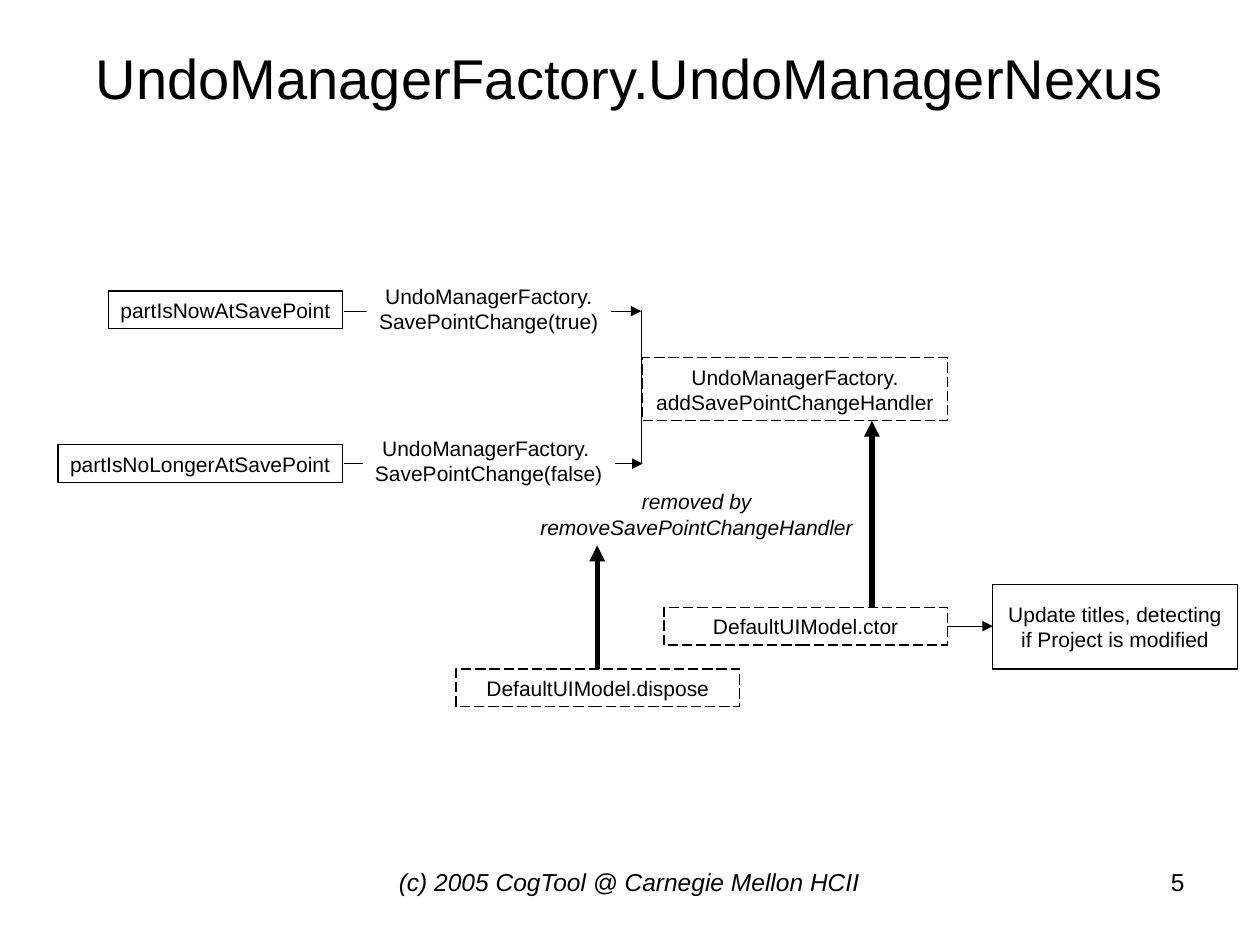
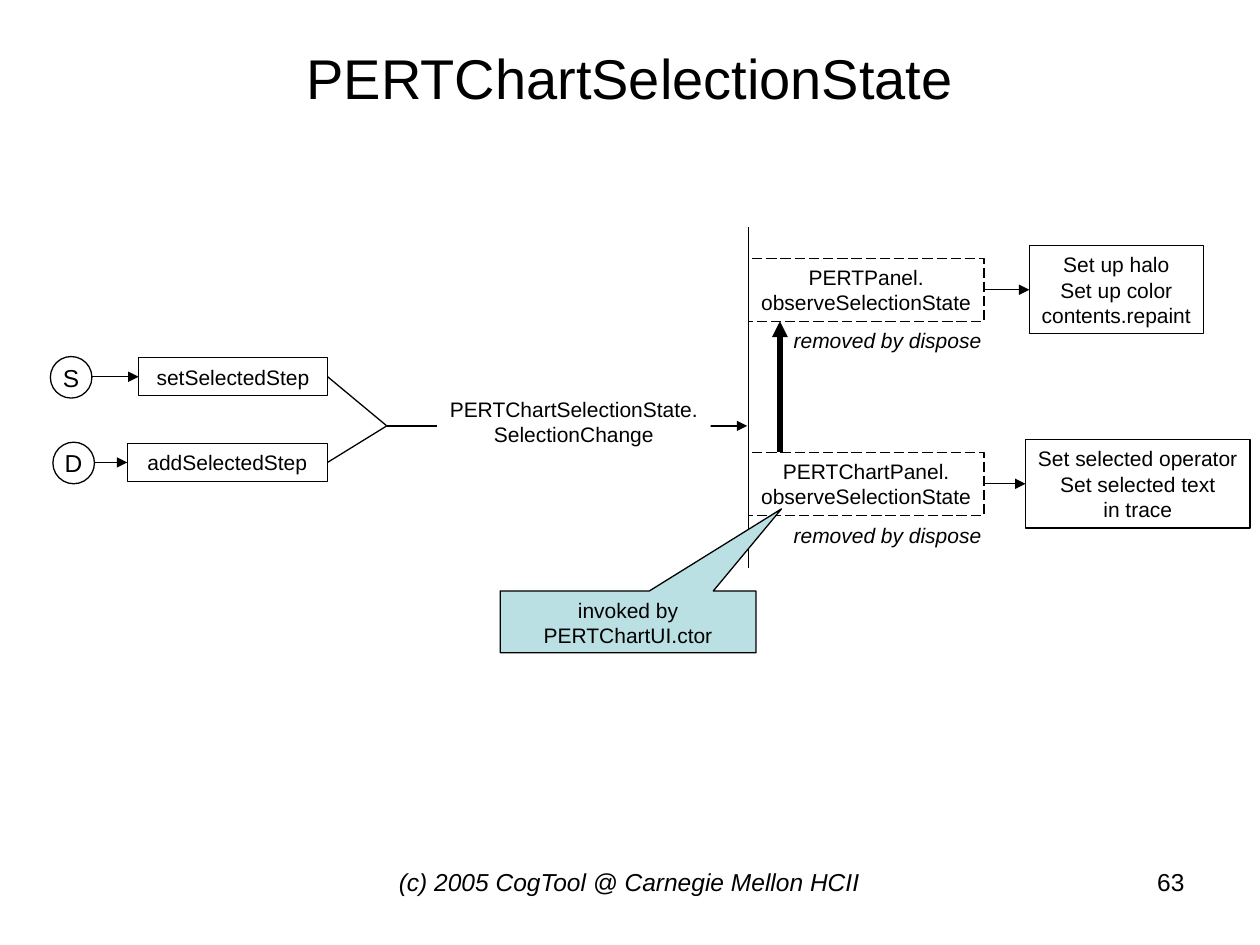
from dataclasses import dataclass

from lxml import etree
from pptx import Presentation
from pptx.dml.color import RGBColor
from pptx.enum.dml import MSO_LINE
from pptx.enum.shapes import MSO_CONNECTOR, MSO_SHAPE
from pptx.enum.text import MSO_ANCHOR, MSO_AUTO_SIZE, PP_ALIGN
from pptx.oxml.ns import qn
from pptx.util import Inches, Pt

RECTANGLE = MSO_SHAPE.RECTANGLE
OVAL = MSO_SHAPE.OVAL
CALLOUT_SHAPE = MSO_SHAPE.RECTANGULAR_CALLOUT
STRAIGHT = MSO_CONNECTOR.STRAIGHT
LONG_DASH = MSO_LINE.LONG_DASH
TOP, MIDDLE = MSO_ANCHOR.TOP, MSO_ANCHOR.MIDDLE
CENTER, RIGHT = PP_ALIGN.CENTER, PP_ALIGN.RIGHT
NO_AUTOSIZE = MSO_AUTO_SIZE.NONE

FONT = "Arial"
BLACK, WHITE, PALE_TEAL = "000000", "FFFFFF", "BBE0E3"
THIN, THICK = 0.75, 3
TITLE_ONLY_LAYOUT = 5
FOOTER = "(c) 2005 CogTool @ Carnegie Mellon HCII"


@dataclass(frozen=True)
class Style:
    geometry: int = RECTANGLE
    fill: str | None = None
    outlined: bool = True
    dashed: bool = False
    italic: bool = False
    size: int = 12
    anchor: int = MIDDLE
    align: int = CENTER


METHOD = Style()
HANDLER = Style(dashed=True)
EVENT = Style(fill=WHITE, outlined=False, anchor=TOP)
REMARK = Style(outlined=False, italic=True)
MARKER = Style(geometry=OVAL, size=14)
CALLOUT = Style(geometry=CALLOUT_SHAPE, fill=PALE_TEAL, anchor=TOP)
FOOTER_TEXT = Style(outlined=False, italic=True, size=14, anchor=TOP)
PAGE_NUMBER = Style(outlined=False, size=14, anchor=TOP, align=RIGHT)


@dataclass(frozen=True)
class Box:
    text: str
    left: float
    top: float
    width: float
    height: float
    style: Style = METHOD
    wrap: bool = False
    pointer: tuple[float, float] | None = None


@dataclass(frozen=True)
class Link:
    start: tuple[float, float]
    end: tuple[float, float]
    weight: float = THIN
    arrow: bool = True


@dataclass(frozen=True)
class Diagram:
    title: str
    number: int
    items: list[Box | Link]


def color(value: str) -> RGBColor:
    return RGBColor.from_string(value)


def write_text(shape, text: str, style: Style, wrap: bool) -> None:
    frame = shape.text_frame
    frame.text = text
    frame.word_wrap = wrap
    frame.auto_size = NO_AUTOSIZE
    frame.vertical_anchor = style.anchor
    frame.margin_left = frame.margin_right = Inches(0.1)
    frame.margin_top = frame.margin_bottom = Inches(0.05)
    for paragraph in frame.paragraphs:
        paragraph.alignment = style.align
        font = paragraph.font
        font.name, font.size, font.italic = FONT, Pt(style.size), style.italic
        font.color.rgb = color(BLACK)


def draw_box(slide, box: Box) -> None:
    style = box.style
    place = [Inches(v) for v in (box.left, box.top, box.width, box.height)]
    if style.fill or style.outlined:
        shape = slide.shapes.add_shape(style.geometry, *place)
        shape.shadow.inherit = False
    else:
        shape = slide.shapes.add_textbox(*place)
    if style.fill:
        shape.fill.solid()
        shape.fill.fore_color.rgb = color(style.fill)
    else:
        shape.fill.background()
    if style.outlined:
        shape.line.color.rgb = color(BLACK)
        shape.line.width = Pt(THIN)
        if style.dashed:
            shape.line.dash_style = LONG_DASH
    else:
        shape.line.fill.background()
    if box.pointer:
        shape.adjustments[0], shape.adjustments[1] = box.pointer
    write_text(shape, box.text, style, box.wrap)


def draw_link(slide, link: Link) -> None:
    ends = [Inches(v) for v in link.start + link.end]
    connector = slide.shapes.add_connector(STRAIGHT, *ends)
    connector.line.color.rgb = color(BLACK)
    connector.line.width = Pt(link.weight)
    properties = connector._element.spPr
    if link.arrow:
        outline = properties.find(qn("a:ln"))
        etree.SubElement(outline, qn("a:tailEnd"), type="triangle")
    etree.SubElement(properties, qn("a:effectLst"))


def add_diagram(presentation, diagram: Diagram) -> None:
    slide = presentation.slides.add_slide(presentation.slide_layouts[TITLE_ONLY_LAYOUT])
    title = slide.shapes.title
    title.left, title.top = Inches(0.5), Inches(0.3)
    title.width, title.height = Inches(9), Inches(0.62)
    write_text(title, diagram.title, Style(size=32), True)
    footers = [
        Box(FOOTER, 2.83, 6.83, 4.33, 0.52, FOOTER_TEXT, wrap=True),
        Box(str(diagram.number), 7.17, 6.83, 2.33, 0.52, PAGE_NUMBER, wrap=True),
    ]
    for item in diagram.items + footers:
        if isinstance(item, Box):
            draw_box(slide, item)
        else:
            draw_link(slide, item)


def step_row(letter: str, method: str, marker_left: float, left: float, middle: float) -> list[Box | Link]:
    right = 2.6
    return [
        Box(method, left, middle - 0.15, right - left, 0.3),
        Box(letter, marker_left, middle - 0.16, 0.33, 0.33, MARKER),
        Link((marker_left + 0.33, middle), (left, middle)),
        Link((right, middle), (3.07, 3.38), arrow=False),
    ]


def panel_row(panel: str, effect: str, left: float, width: float, middle: float, remark_top: float) -> list[Box | Link]:
    return [
        Box(f"{panel}.\nobserveSelectionState", 5.94, middle - 0.25, 1.87, 0.5, HANDLER),
        Box(effect, left, middle - 0.35, width, 0.7),
        Link((7.81, middle), (left, middle)),
        Box("removed by dispose", 6.13, remark_top, 1.83, 0.3, REMARK),
    ]


NEXUS = Diagram("UndoManagerFactory.UndoManagerNexus", 5, [
    Box("Update titles, detecting if Project is modified", 7.88, 4.64, 1.94, 0.67, wrap=True),
    Link((7.52, 4.97), (7.88, 4.97)),
    Box("partIsNowAtSavePoint", 0.86, 2.31, 1.86, 0.3),
    Box("partIsNoLongerAtSavePoint", 0.46, 3.53, 2.26, 0.3),
    Link((2.73, 3.68), (5.1, 3.68)),
    Link((2.73, 2.47), (5.09, 2.47)),
    Box("UndoManagerFactory.\nSavePointChange(true)", 2.91, 2.2, 1.94, 0.5, EVENT),
    Link((5.09, 2.46), (5.09, 3.68), arrow=False),
    Box("UndoManagerFactory. \nSavePointChange(false)", 2.88, 3.41, 2, 0.5, EVENT),
    Box("UndoManagerFactory.\naddSavePointChangeHandler", 5.1, 2.84, 2.42, 0.5, HANDLER),
    Box("removed by removeSavePointChangeHandler", 4.14, 3.83, 2.78, 0.5, REMARK, wrap=True),
    Link((6.92, 4.82), (6.92, 3.34), THICK),
    Box("DefaultUIModel.ctor", 5.27, 4.82, 2.25, 0.3, HANDLER),
    Box("DefaultUIModel.dispose", 3.62, 5.31, 2.25, 0.3, HANDLER),
    Link((4.74, 5.31), (4.74, 4.33), THICK),
])

SELECTION = Diagram("PERTChartSelectionState", 63, [
    Link((3.07, 3.38), (5.93, 3.38)),
    Box("PERTChartSelectionState.\nSelectionChange", 3.47, 3.1, 2.17, 0.5, EVENT),
    *step_row("S", "setSelectedStep", 0.4, 1.1, 2.99),
    *step_row("D", "addSelectedStep", 0.42, 1.01, 3.67),
    Link((5.94, 1.8), (5.94, 4.51), arrow=False),
    *panel_row("PERTPanel", "Set up halo\nSet up color\ncontents.repaint", 8.17, 1.38, 2.3, 2.55),
    *panel_row("PERTChartPanel", "Set selected operator\nSet selected text\nin trace", 8.14, 1.78, 3.84, 4.1),
    Link((6.19, 3.59), (6.19, 2.55), THICK),
    Box("invoked by PERTChartUI.ctor", 3.97, 4.69, 2.03, 0.49, CALLOUT, wrap=True, pointer=(0.6, -1.83)),
])


def main() -> None:
    presentation = Presentation()
    presentation.slide_width, presentation.slide_height = Inches(10), Inches(7.5)
    for diagram in (NEXUS, SELECTION):
        add_diagram(presentation, diagram)
    presentation.save("out.pptx")


if __name__ == "__main__":
    main()
